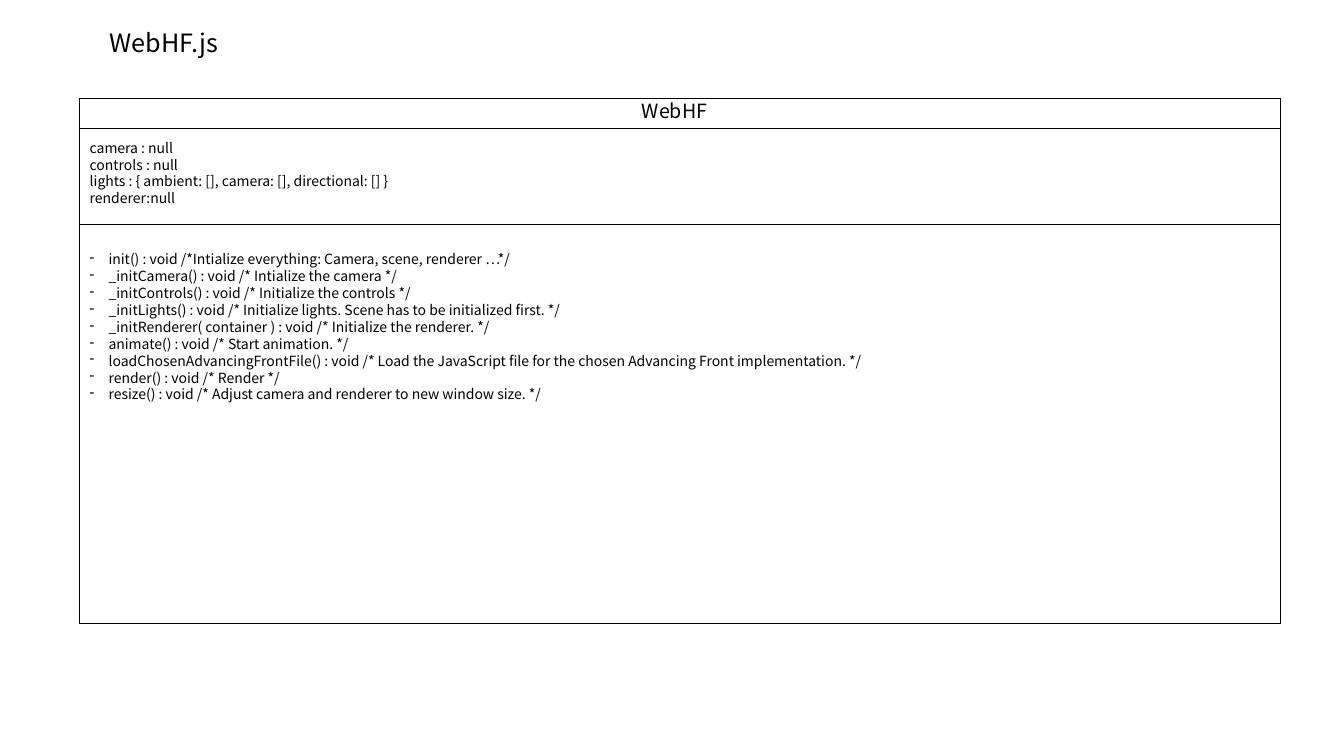
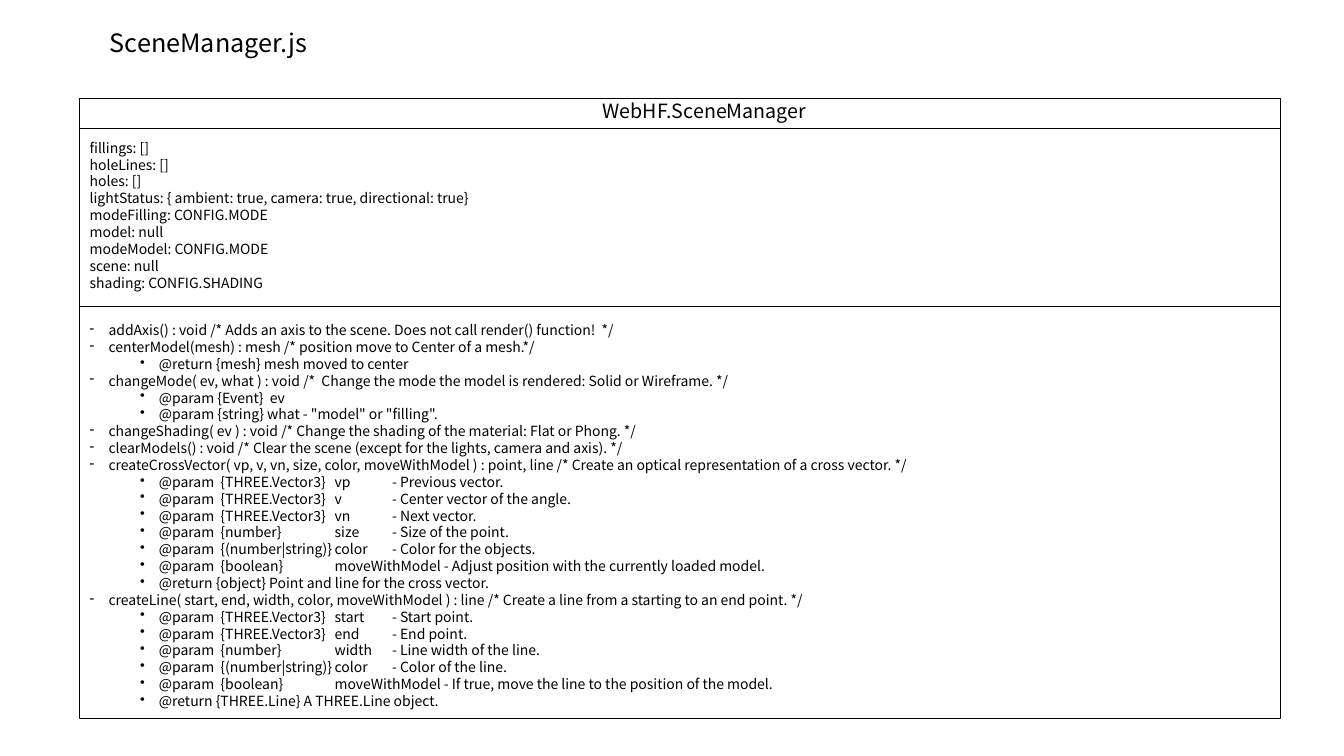
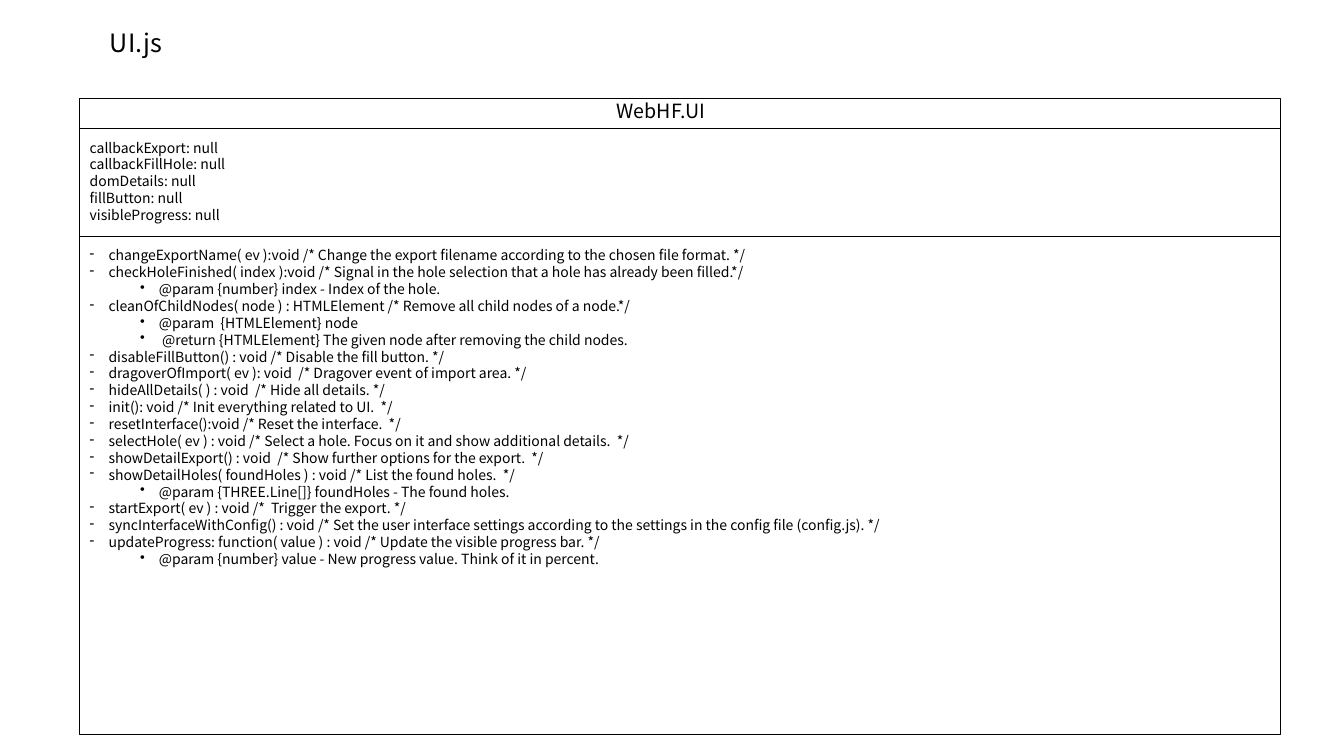
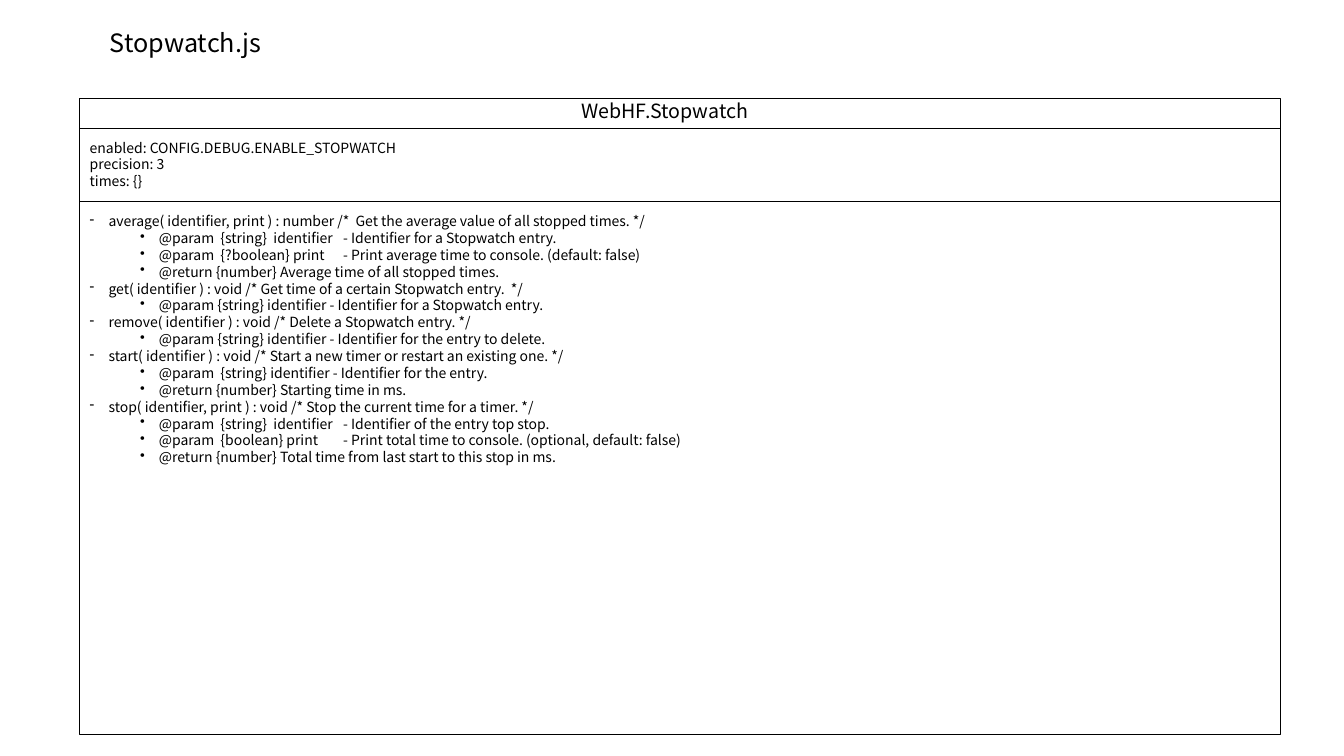
from lxml.etree import SubElement
from pptx import Presentation
from pptx.dml.color import RGBColor
from pptx.enum.shapes import MSO_CONNECTOR as Connector, MSO_SHAPE as Shape
from pptx.enum.text import MSO_ANCHOR as Anchor, MSO_AUTO_SIZE as AutoSize, PP_ALIGN as Align
from pptx.oxml.ns import qn
from pptx.util import Pt

BLACK = RGBColor(0, 0, 0)
FONT = "Noto Sans CJK KR"
LINE_RATIO = 1.204
LEFT, FRAME_TOP, FRAME_WIDTH = 57, 70, 857.3
HEADER_TOP, HEADER_RULE, ATTRIBUTES_TOP = 67, 91.5, 95.8
METHODS_WIDTH = 836
HANGING, SUB_INDENT = 13.5, 49.5


def text_height(size, count=1):
    return size * LINE_RATIO * count + 7.2


class ClassDeck:
    def __init__(self):
        self.deck = Presentation()
        self.deck.slide_width, self.deck.slide_height = Pt(960), Pt(540)
        self.page = None

    def add_page(self, title):
        self.page = self.deck.slides.add_slide(self.deck.slide_layouts[5])
        box = self.page.shapes.title
        place = dict(left=71.3, top=15.8, width=870.5, height=text_height(18))
        for name, value in place.items():
            setattr(box, name, Pt(value))
        self.fill_text(box, [title], 18, True)

    def fill_text(self, box, lines, size, wrap):
        frame = box.text_frame
        settings = dict(word_wrap=wrap, auto_size=AutoSize.SHAPE_TO_FIT_TEXT,
                        vertical_anchor=Anchor.TOP)
        for name, value in settings.items():
            setattr(frame, name, value)
        for index, line in enumerate(lines):
            para = frame.add_paragraph() if index else frame.paragraphs[0]
            layout = dict(alignment=Align.LEFT, line_spacing=Pt(size * LINE_RATIO),
                          space_before=Pt(0), space_after=Pt(0))
            for name, value in layout.items():
                setattr(para, name, value)
            span = para.add_run()
            span.text = line
            for name, value in dict(name=FONT, size=Pt(size), bold=False).items():
                setattr(span.font, name, value)
            span.font.color.rgb = BLACK

    def text(self, left, top, width, lines, size, wrap=False):
        box = self.page.shapes.add_textbox(
            Pt(left), Pt(top), Pt(width), Pt(text_height(size, len(lines))))
        self.fill_text(box, lines, size, wrap)
        return box

    def methods(self, top, lines, tabs):
        box = self.text(LEFT, top, METHODS_WIDTH, lines, 10, True)
        for para, line in zip(box.text_frame.paragraphs, lines):
            detail = line.lstrip().startswith("@")
            para.level = int(detail)
            properties = para._p.get_or_add_pPr()
            properties.set("marL", str(Pt(SUB_INDENT if detail else HANGING)))
            properties.set("indent", str(-Pt(HANGING)))
            SubElement(properties, qn("a:buChar"), char="•" if detail else "-")
            if "\t" in line:
                stops = SubElement(properties, qn("a:tabLst"))
                for position in tabs:
                    SubElement(stops, qn("a:tab"), pos=str(Pt(position)), algn="l")

    def frame(self, height):
        box = self.page.shapes.add_shape(
            Shape.RECTANGLE, Pt(LEFT), Pt(FRAME_TOP), Pt(FRAME_WIDTH), Pt(height))
        box.shadow.inherit = False
        box.fill.background()
        self.outline(box)

    def rule(self, top):
        line = self.page.shapes.add_connector(
            Connector.STRAIGHT, Pt(LEFT), Pt(top), Pt(LEFT + FRAME_WIDTH), Pt(top))
        self.outline(line)
        SubElement(line._element.spPr, qn("a:effectLst"))

    def outline(self, item):
        item.line.color.rgb = BLACK
        item.line.width = Pt(0.5)

    def class_page(self, title, header, header_left, header_width, height, attributes,
                   attributes_width, divider, methods_top, methods, tabs=()):
        self.add_page(title)
        self.frame(height)
        self.rule(HEADER_RULE)
        self.text(header_left, HEADER_TOP, header_width, [header], 14)
        self.text(LEFT, ATTRIBUTES_TOP, attributes_width, attributes, 10)
        self.rule(divider)
        self.methods(methods_top, methods, tabs)


PAGES = [
    dict(
        title="WebHF.js", header="WebHF", header_left=451.4, header_width=68.4,
        height=375.1, attributes_width=246.2, divider=160.6, methods_top=175.7,
        attributes=[
            "camera : null",
            "controls : null",
            "lights : { ambient: [], camera: [], directional: [] }",
            "renderer:null",
        ],
        methods=[
            "init() : void /*Intialize everything: Camera, scene, renderer …*/",
            "_initCamera() : void /* Intialize the camera */",
            "_initControls() : void /* Initialize the controls */",
            "_initLights() : void /* Initialize lights. Scene has to be initialized first. */",
            "_initRenderer( container ) : void /* Initialize the renderer. */",
            "animate() : void /* Start animation. */",
            "loadChosenAdvancingFrontFile() : void /* Load the JavaScript file for the chosen "
            "Advancing Front implementation. */",
            "render() : void /* Render */",
            "resize() : void /* Adjust camera and renderer to new window size. */",
        ],
    ),
    dict(
        title="SceneManager.js", header="WebHF.SceneManager", header_left=423.4,
        header_width=185, height=443.5, attributes_width=309.6, divider=218.9,
        methods_top=226.1, tabs=(175, 216),
        attributes=[
            "fillings: []",
            "holeLines: []",
            "holes: []",
            "lightStatus: { ambient: true, camera: true, directional: true}",
            "modeFilling: CONFIG.MODE",
            "model: null",
            "modeModel: CONFIG.MODE",
            "scene: null",
            "shading: CONFIG.SHADING",
        ],
        methods=[
            "addAxis() : void /* Adds an axis to the scene. Does not call render() function!  */",
            "centerModel(mesh) : mesh /* position move to Center of a mesh.*/",
            "@return {mesh} mesh moved to center",
            "changeMode( ev, what ) : void /*  Change the mode the model is rendered: "
            "Solid or Wireframe. */",
            "@param {Event}  ev",
            '@param {string} what - "model" or "filling".',
            "changeShading( ev ) : void /* Change the shading of the material: Flat or Phong. */",
            "clearModels() : void /* Clear the scene (except for the lights, camera and axis). */",
            "createCrossVector( vp, v, vn, size, color, moveWithModel ) : point, line "
            "/* Create an optical representation of a cross vector. */",
            "@param  {THREE.Vector3}\tvp\t- Previous vector.",
            "@param  {THREE.Vector3}\tv\t- Center vector of the angle.",
            "@param  {THREE.Vector3}\tvn\t- Next vector.",
            "@param  {number}\tsize\t- Size of the point.",
            "@param  {(number|string)}\tcolor\t- Color for the objects.",
            "@param  {boolean}\tmoveWithModel - Adjust position with the currently loaded model.",
            "@return {object} Point and line for the cross vector.",
            "createLine( start, end, width, color, moveWithModel ) : line "
            "/* Create a line from a starting to an end point. */",
            "@param  {THREE.Vector3}\tstart\t- Start point.",
            "@param  {THREE.Vector3}\tend\t- End point.",
            "@param  {number}\twidth\t- Line width of the line.",
            "@param  {(number|string)}\tcolor\t- Color of the line.",
            "@param  {boolean}\tmoveWithModel - If true, move the line to the position "
            "of the model.",
            "@return {THREE.Line} A THREE.Line object.",
        ],
    ),
    dict(
        title="UI.js", header="WebHF.UI", header_left=433.4, header_width=86.4,
        height=454.3, attributes_width=115.9, divider=168.5, methods_top=172.8,
        attributes=[
            "callbackExport: null",
            "callbackFillHole: null",
            "domDetails: null",
            "fillButton: null",
            "visibleProgress: null",
        ],
        methods=[
            "changeExportName( ev ):void /* Change the export filename according to the "
            "chosen file format. */",
            "checkHoleFinished( index ):void /* Signal in the hole selection that a hole "
            "has already been filled.*/",
            "@param {number} index - Index of the hole.",
            "cleanOfChildNodes( node ) : HTMLElement /* Remove all child nodes of a node.*/",
            "@param  {HTMLElement} node",
            " @return {HTMLElement} The given node after removing the child nodes.",
            "disableFillButton() : void /* Disable the fill button. */",
            "dragoverOfImport( ev ): void  /* Dragover event of import area. */",
            "hideAllDetails( ) : void  /* Hide all details. */",
            "init(): void /* Init everything related to UI.  */",
            "resetInterface():void /* Reset the interface.  */",
            "selectHole( ev ) : void /* Select a hole. Focus on it and show additional "
            "details.  */",
            "showDetailExport() : void  /* Show further options for the export.  */",
            "showDetailHoles( foundHoles ) : void /* List the found holes.  */",
            "@param {THREE.Line[]} foundHoles - The found holes.",
            "startExport( ev ) : void /*  Trigger the export. */",
            "syncInterfaceWithConfig() : void /* Set the user interface settings according "
            "to the settings in the config file (config.js). */",
            "updateProgress: function( value ) : void /* Update the visible progress bar. */",
            "@param {number} value - New progress value. Think of it in percent.",
        ],
    ),
    dict(
        title="Stopwatch.js", header="WebHF.Stopwatch", header_left=408.2,
        header_width=151.2, height=454.3, attributes_width=258.5, divider=144,
        methods_top=148.3, tabs=(181,),
        attributes=[
            "enabled: CONFIG.DEBUG.ENABLE_STOPWATCH",
            "precision: 3",
            "times: {}",
        ],
        methods=[
            "average( identifier, print ) : number /*  Get the average value of all "
            "stopped times. */",
            "@param  {string}  identifier\t- Identifier for a Stopwatch entry.",
            "@param  {?boolean} print\t- Print average time to console. (default: false)",
            "@return {number} Average time of all stopped times.",
            "get( identifier ) : void /* Get time of a certain Stopwatch entry.  */",
            "@param {string} identifier - Identifier for a Stopwatch entry.",
            "remove( identifier ) : void /* Delete a Stopwatch entry. */",
            "@param {string} identifier - Identifier for the entry to delete.",
            "start( identifier ) : void /* Start a new timer or restart an existing one. */",
            "@param  {string} identifier - Identifier for the entry.",
            "@return {number} Starting time in ms.",
            "stop( identifier, print ) : void /* Stop the current time for a timer. */",
            "@param  {string}  identifier\t- Identifier of the entry top stop.",
            "@param  {boolean} print\t- Print total time to console. "
            "(optional, default: false)",
            "@return {number} Total time from last start to this stop in ms.",
        ],
    ),
]

builder = ClassDeck()
for page in PAGES:
    builder.class_page(**page)
builder.deck.save("out.pptx")
